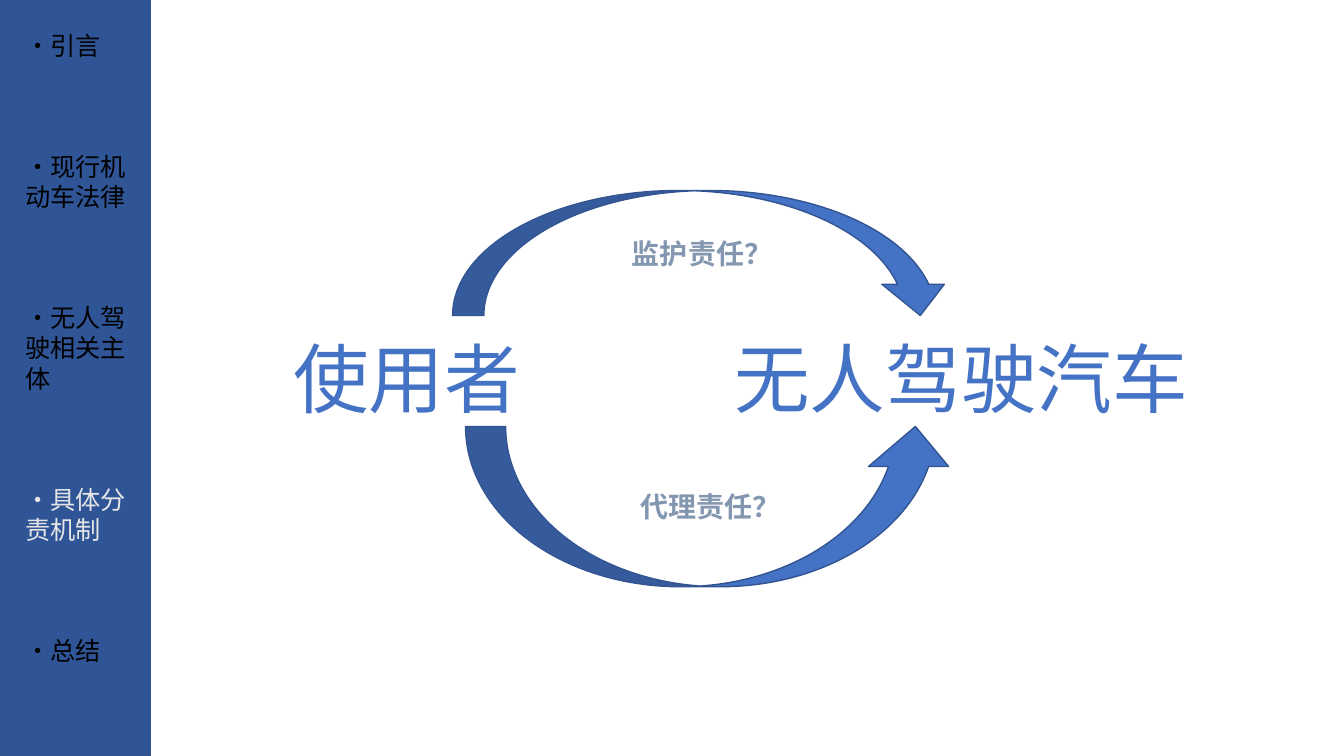
from typing import NamedTuple

from lxml.etree import SubElement
from pptx import Presentation
from pptx.dml.color import RGBColor
from pptx.enum.shapes import MSO_SHAPE as Preset
from pptx.enum.text import MSO_ANCHOR as Anchor, MSO_AUTO_SIZE as AutoSize, PP_ALIGN as Align
from pptx.oxml.ns import qn
from pptx.shapes.autoshape import Shape
from pptx.slide import Slide
from pptx.text.text import _Paragraph as Paragraph
from pptx.util import Pt

FONT = "Noto Sans CJK SC"
COLORS = {
    "sidebar": "2F5597",
    "outline": "325491",
    "accent": "4472C4",
    "question": "8497B0",
    "chapter": "000000",
    "current": "E7E6E6",
}
SLIDE_WIDTH, SLIDE_HEIGHT = 960, 540
CHAPTER_SIZE, PARTY_SIZE, QUESTION_SIZE = 18, 54, 20
LINE_RATIO = 1.2
CHAPTER_GAP_LINES = 3

CHAPTERS = ["引言", "现行机动车法律", "无人驾驶相关主体", "具体分责机制", "总结"]
CURRENT_CHAPTER = "具体分责机制"


class Box(NamedTuple):
    left: float
    top: float
    width: float
    height: float

    def lengths(self) -> list[Pt]:
        return [Pt(value) for value in self]


class Party(NamedTuple):
    name: str
    box: Box


class Liability(NamedTuple):
    question: str
    arrow: Preset
    box: Box


SIDEBAR = Box(0, 0, 107.5, SLIDE_HEIGHT)
CHAPTER_LIST = Box(10.8, 16.6, 87.1, 505)
PARTIES = [
    Party("使用者", Box(201.6, 229, 177.8, 72.7)),
    Party("无人驾驶汽车", Box(515.5, 229, 342, 72.7)),
]
LIABILITIES = [
    Liability("监护责任？", Preset.CURVED_DOWN_ARROW, Box(323.3, 136.1, 356.4, 89.3)),
    Liability("代理责任？", Preset.CURVED_UP_ARROW, Box(332.6, 304.6, 349.9, 114.5)),
]


def color(name: str) -> RGBColor:
    return RGBColor.from_string(COLORS[name])


def style(paragraph: Paragraph, size: float, color_name: str, align: Align, bold: bool = False) -> None:
    paragraph.alignment = align
    font = paragraph.font
    font.name, font.size, font.bold = FONT, Pt(size), bold
    font.color.rgb = color(color_name)


def use_font_for_chinese(shape: Shape) -> None:
    """Repeat each Latin typeface as the East Asian one."""
    for latin in list(shape.element.iter(qn("a:latin"))):
        east_asian = latin.makeelement(qn("a:ea"), {"typeface": FONT})
        latin.addnext(east_asian)


def add_filled_shape(slide: Slide, preset: Preset, box: Box, fill: str) -> Shape:
    shape = slide.shapes.add_shape(preset, *box.lengths())
    shape.shadow.inherit = False
    shape.fill.solid()
    shape.fill.fore_color.rgb = color(fill)
    shape.line.color.rgb = color("outline")
    shape.line.width = Pt(1)
    return shape


def fill_chapter_list(body: Shape) -> None:
    body.left, body.top, body.width, body.height = CHAPTER_LIST.lengths()
    frame = body.text_frame
    frame.word_wrap = True
    frame.auto_size = AutoSize.NONE
    frame.vertical_anchor = Anchor.TOP
    frame.margin_top = Pt(5)
    frame.text = "\n".join(f"·{chapter}" for chapter in CHAPTERS)
    line_height = CHAPTER_SIZE * LINE_RATIO
    for index, (chapter, paragraph) in enumerate(zip(CHAPTERS, frame.paragraphs)):
        style(paragraph, CHAPTER_SIZE, "current" if chapter == CURRENT_CHAPTER else "chapter", Align.LEFT)
        paragraph.line_spacing = Pt(line_height)
        paragraph.space_before = Pt(CHAPTER_GAP_LINES * line_height if index else 0)
    for properties in body.element.iter(qn("a:pPr")):
        properties.set("marL", "0")
        properties.set("indent", "0")
        no_bullet = SubElement(properties, qn("a:buNone"))
        properties.find(qn("a:defRPr")).addprevious(no_bullet)
    use_font_for_chinese(body)


def add_party(slide: Slide, party: Party) -> None:
    label = slide.shapes.add_textbox(*party.box.lengths())
    frame = label.text_frame
    frame.word_wrap = False
    frame.margin_top = Pt(8)
    frame.text = party.name
    paragraph = frame.paragraphs[0]
    style(paragraph, PARTY_SIZE, "accent", Align.CENTER)
    paragraph.line_spacing = Pt(PARTY_SIZE * LINE_RATIO)
    use_font_for_chinese(label)


def add_liability(slide: Slide, liability: Liability) -> None:
    arrow = add_filled_shape(slide, liability.arrow, liability.box, "accent")
    frame = arrow.text_frame
    frame.vertical_anchor = Anchor.MIDDLE
    frame.text = liability.question
    style(frame.paragraphs[0], QUESTION_SIZE, "question", Align.CENTER, bold=True)
    use_font_for_chinese(arrow)


def main() -> None:
    deck = Presentation()
    deck.slide_width, deck.slide_height = Pt(SLIDE_WIDTH), Pt(SLIDE_HEIGHT)
    slide = deck.slides.add_slide(deck.slide_layouts.get_by_name("Title and Content"))
    title, body = slide.placeholders
    title.element.getparent().remove(title.element)

    sidebar = add_filled_shape(slide, Preset.RECTANGLE, SIDEBAR, "sidebar")
    body.element.addprevious(sidebar.element)
    fill_chapter_list(body)
    for party in PARTIES:
        add_party(slide, party)
    for liability in LIABILITIES:
        add_liability(slide, liability)
    deck.save("out.pptx")


if __name__ == "__main__":
    main()
